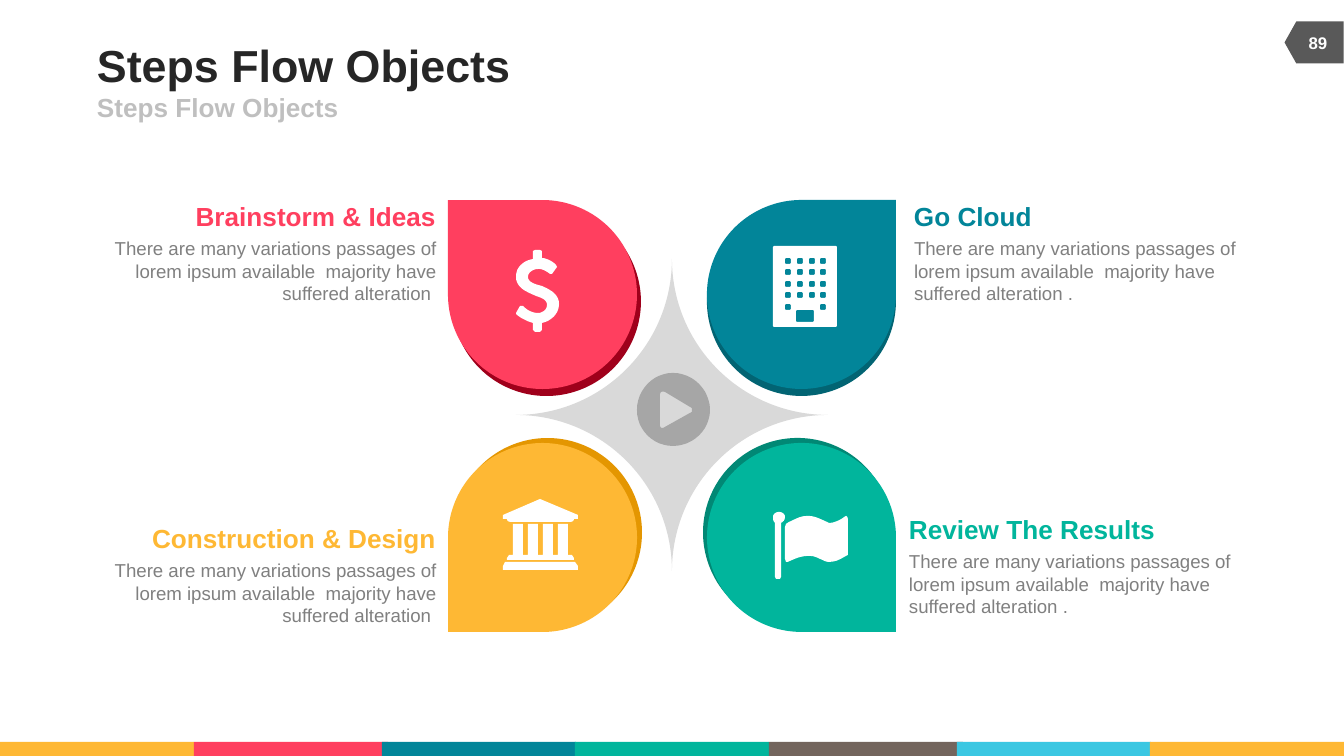
from pptx import Presentation
from pptx.dml.color import RGBColor
from pptx.enum.shapes import MSO_SHAPE
from pptx.enum.text import MSO_ANCHOR, PP_ALIGN
from pptx.util import Pt

PX = 9144000 / 1344
FINE = 10  # freeform units per px
COLORS = {
    "yellow": "FEB834", "red": "FF3F5F", "blue": "028599", "green": "01B59C",
    "brown": "73655D", "sky": "3BC7E2", "dark red": "9F001B", "dark blue": "026473",
    "dark yellow": "E49601", "dark green": "018875", "tag": "595959", "star": "D9D9D9",
    "button": "A6A6A6", "white": "FFFFFF", "title": "262626", "subtitle": "BFBFBF",
    "body": "808080",
}

deck = Presentation()
deck.slide_width, deck.slide_height = round(1344 * PX), round(756 * PX)
page = deck.slides.add_slide(deck.slide_layouts[6])


def write(text, left, top, width, height, size=10, color="body", bold=False,
          align=PP_ALIGN.LEFT, anchor=MSO_ANCHOR.TOP, wrap=True):
    box = page.shapes.add_textbox(*(round(n * PX) for n in (left, top, width, height)))
    frame = box.text_frame
    frame.margin_left = frame.margin_right = frame.margin_top = frame.margin_bottom = 0
    frame.word_wrap = wrap
    frame.vertical_anchor = anchor
    para = frame.paragraphs[0]
    para.alignment = align
    span = para.add_run()
    span.text = text
    span.font.name, span.font.size, span.font.bold = "Arial", Pt(size), bold
    span.font.color.rgb = RGBColor.from_string(COLORS[color])


def flatten(contour):
    """Turn points (x, y) and cubic curves (x1, y1, x2, y2, x, y) into fine points."""
    points = [contour[0]]
    for step in contour[1:]:
        if len(step) == 2:
            points.append(step)
            continue
        x0, y0 = points[-1]
        x1, y1, x2, y2, x3, y3 = step
        for t in (n / 12 for n in range(1, 13)):
            a, b, c, d = (1 - t) ** 3, 3 * t * (1 - t) ** 2, 3 * t * t * (1 - t), t ** 3
            points.append((a * x0 + b * x1 + c * x2 + d * x3,
                           a * y0 + b * y1 + c * y2 + d * y3))
    return [(x * FINE, y * FINE) for x, y in points]


# Preset shapes: footer bars, page tag, star and the four petals
footer = zip((0, 194, 382, 575, 769, 957, 1150),
             ("yellow", "red", "blue", "green", "brown", "sky", "yellow"))
presets = [(MSO_SHAPE.RECTANGLE, left, 742, 194, 14, 0, color) for left, color in footer]
presets += [
    (MSO_SHAPE.FLOWCHART_OFFPAGE_CONNECTOR, 1293, 13, 42, 59, 90, "tag"),
    (MSO_SHAPE.PLAQUE, 516, 259, 312, 312, 0, "star"),
]
for color, rotation, left, top, shade_left, shade_top in (
    ("red", 270, 448, 200, 452, 207),
    ("blue", 0, 707, 200, 707, 207),
    ("yellow", 180, 448, 443, 453, 438),
    ("green", 90, 707, 443, 703, 438),
):
    presets += [
        (MSO_SHAPE.TEAR, shade_left, shade_top, 189, 189, rotation, "dark " + color),
        (MSO_SHAPE.TEAR, left, top, 189, 189, rotation, color),
    ]
painted = []
for kind, left, top, width, height, rotation, color in presets:
    shape = page.shapes.add_shape(kind, *(round(n * PX) for n in (left, top, width, height)))
    shape.rotation = rotation
    if kind == MSO_SHAPE.PLAQUE:
        shape.adjustments[0] = 0.5
    painted.append((shape, color))

# Icons
play = [
    [(710, 410), (710, 430, 693, 446, 673, 446), (653, 446, 637, 430, 637, 410),
     (637, 390, 653, 373, 673, 373), (693, 373, 710, 390, 710, 410)],
    [(692, 410), (692, 408, 692, 408, 690, 407), (665, 392), (662, 391, 660, 392, 660, 395),
     (660, 425), (660, 428, 662, 429, 665, 427), (690, 413), (692, 412, 692, 412, 692, 410)],
]
dollar = [[
    (542, 323), (542, 330), (540, 332), (535, 332), (533, 330), (533, 323),
    (522, 320, 516, 314, 516, 314), (516, 313), (520, 306), (523, 306),
    (523, 306, 529, 313, 538, 313), (542, 313, 547, 310, 547, 305),
    (547, 300, 542, 298, 536, 296), (527, 292, 516, 288, 516, 277),
    (516, 267, 523, 261, 533, 259), (533, 251), (535, 250), (540, 250), (542, 251),
    (542, 258), (551, 259, 556, 265, 556, 265), (557, 267), (552, 274), (550, 274),
    (550, 274, 544, 269, 539, 269), (532, 269, 528, 273, 528, 277),
    (528, 282, 534, 284, 542, 286), (548, 289, 559, 293, 559, 304),
    (559, 314, 551, 321, 542, 323),
]]
columns = [point for left in range(513, 559, 15)
           for point in ((left, 555), (left, 524), (left + 10, 524), (left + 10, 555))]
bank = [
    [(540, 499), (578, 515), (578, 519), (574, 519), (574, 521, 572, 522, 570, 522),
     (511, 522), (509, 522, 507, 521, 507, 519), (503, 519), (503, 515)],
    columns + [(572, 555), (574, 558), (574, 560), (507, 560), (507, 558), (509, 555)],
    [(505, 562), (575, 562), (578, 566), (578, 570), (503, 570), (503, 566)],
]
blocks = [(773, 246, 64, 81), (796, 310, 18, 12)]  # wall and door
blocks += [(785 + 12 * column - column // 3, 258 + 23 * row // 2, 6, 6)
           for row in range(5) for column in range(4) if row < 4 or column in (0, 3)]
building = [
    [(x + 1, y), (x + w - 1, y), (x + w, y + 1), (x + w, y + h - 1),
     (x + w - 1, y + h), (x + 1, y + h), (x, y + h - 1), (x, y + 1)]
    for x, y, w, h in blocks
]
flag = [
    [(781, 523), (781, 577), (780, 579), (776, 579), (775, 577), (775, 523),
     (773, 521, 773, 519, 773, 517), (773, 514, 776, 512, 779, 512),
     (782, 512, 785, 514, 785, 517), (785, 520, 783, 522, 781, 523)],
    [(848, 554), (848, 555, 848, 555, 846, 556), (841, 559, 836, 562, 829, 562),
     (823, 562, 818, 556, 809, 556), (802, 556, 796, 558, 788, 562), (786, 562),
     (785, 559), (785, 527), (786, 524), (789, 522), (796, 519, 800, 516, 808, 516),
     (815, 516, 820, 519, 827, 522), (829, 523), (837, 523, 844, 517, 846, 516),
     (847, 516, 848, 518, 848, 520)],
]
for icon, color in ((play, "button"), (dollar, "white"), (bank, "white"),
                    (building, "white"), (flag, "white")):
    outlines = [flatten(contour) for contour in icon]
    builder = page.shapes.build_freeform(*outlines[0][0], scale=PX / FINE)
    builder.add_line_segments(outlines[0][1:])
    for outline in outlines[1:]:
        builder.move_to(*outline[0])
        builder.add_line_segments(outline[1:])
    painted.append((builder.convert_to_shape(), color))

for shape, color in painted:
    shape.shadow.inherit = False
    shape.fill.solid()
    shape.fill.fore_color.rgb = RGBColor.from_string(COLORS[color])
    shape.line.fill.background()

# Text
write("Steps Flow Objects", 97, 39, 826, 52, size=24, color="title", bold=True,
      anchor=MSO_ANCHOR.MIDDLE)
write("Steps Flow Objects", 97, 92, 605, 30, size=14, color="subtitle", bold=True,
      anchor=MSO_ANCHOR.MIDDLE)
write("89", 1290, 23, 56, 40, size=9, color="white", bold=True,
      align=PP_ALIGN.CENTER, anchor=MSO_ANCHOR.MIDDLE)

passage = "There are many variations passages of lorem ipsum available  majority have suffered alteration "
for heading, color, left, top, width, align in (
    ("Brainstorm & Ideas", "red", 194, 200, 242, PP_ALIGN.RIGHT),
    ("Go Cloud", "blue", 914, 200, 118, PP_ALIGN.LEFT),
    ("Construction & Design", "yellow", 151, 522, 285, PP_ALIGN.RIGHT),
    ("Review The Results", "green", 909, 513, 247, PP_ALIGN.LEFT),
):
    on_left = align == PP_ALIGN.RIGHT
    write(heading, left, top, width, 32, size=14, color=color, bold=True,
          align=align, wrap=False)
    write(passage if on_left else passage + ".", left + width - 335 if on_left else left,
          top + 37, 335, 67, align=align)

deck.save("out.pptx")
